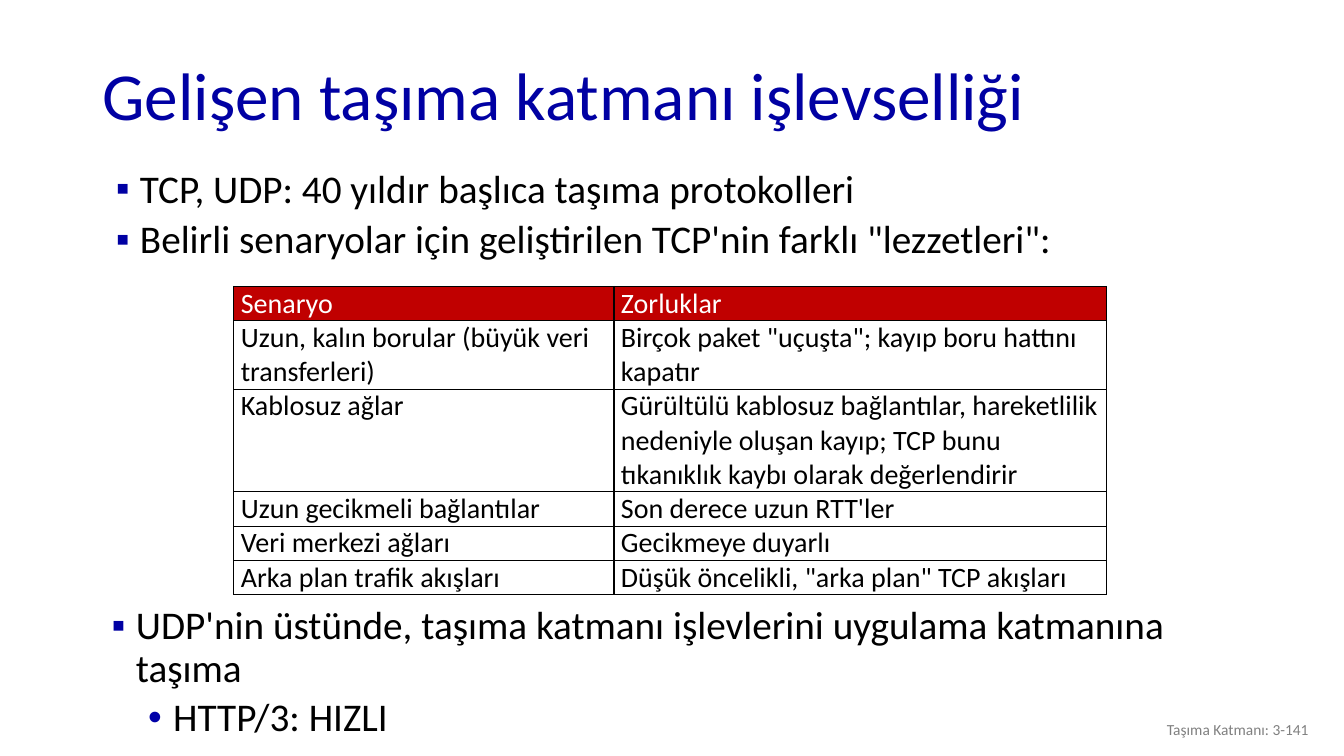
import dataclasses

import lxml.etree
import pptx
import pptx.dml.color
import pptx.enum.text
import pptx.oxml.ns
import pptx.util

ALIGN = pptx.enum.text.PP_ALIGN
ANCHOR = pptx.enum.text.MSO_ANCHOR


@dataclasses.dataclass
class Theme:
    font: str = "Calibri"
    blue: str = "0000A3"
    dot: str = "0000A8"
    ink: str = "000000"
    paper: str = "FFFFFF"
    red: str = "C00000"
    gray: str = "808080"
    title: int = 48
    body: int = 28
    cell: int = 20
    foot: int = 11


def color(code):
    return pptx.dml.color.RGBColor.from_string(code)


def child(node, tag, **attrs):
    return lxml.etree.SubElement(node, pptx.oxml.ns.qn(tag), attrs)


class Deck:
    """Places elements by percent of the slide's width and height."""

    def __init__(self, theme):
        self.theme = theme
        self.show = pptx.Presentation()
        self.show.slide_width = pptx.util.Inches(13.33)
        self.show.slide_height = pptx.util.Inches(7.5)
        self.slide = self.show.slides.add_slide(self.show.slide_layouts[6])

    def wide(self, share):
        return round(self.show.slide_width * share / 100)

    def high(self, share):
        return round(self.show.slide_height * share / 100)

    def area(self, x, y, w, h):
        return self.wide(x), self.high(y), self.wide(w), self.high(h)

    def run(self, para, text, size, ink):
        run = para.add_run()
        run.text = text
        run.font.name = self.theme.font
        run.font.size = pptx.util.Pt(size)
        run.font.color.rgb = color(ink)

    def box(self, place, anchor=ANCHOR.TOP):
        frame = self.slide.shapes.add_textbox(*self.area(*place)).text_frame
        frame.word_wrap = True
        frame.vertical_anchor = anchor
        return frame

    def line(self, place, text, size, ink, align=ALIGN.LEFT):
        para = self.box(place, ANCHOR.MIDDLE).paragraphs[0]
        para.alignment = align
        para.line_spacing = 0.9
        self.run(para, text, size, ink)

    def bullet(self, para, level):
        mark, ink, left, hang = (("▪", self.theme.blue, 0.39, 0.24),
                                 ("•", self.theme.dot, 0.76, 0.25))[level]
        para.level = level
        props = para._p.get_or_add_pPr()
        props.set("marL", str(pptx.util.Inches(left)))
        props.set("indent", str(-pptx.util.Inches(hang)))
        child(child(props, "a:buClr"), "a:srgbClr", val=ink)
        child(props, "a:buFont", typeface="Arial")
        child(props, "a:buChar", char=mark)

    def bullets(self, place, items):
        frame = self.box(place)
        for index, (level, text, gap) in enumerate(items):
            para = frame.add_paragraph() if index else frame.paragraphs[0]
            self.bullet(para, level)
            para.line_spacing = 0.9
            if index:
                para.space_before = pptx.util.Pt(gap)
            self.run(para, text, self.theme.body, self.theme.ink)

    def border(self, cell):
        props = cell._tc.get_or_add_tcPr()
        for index, side in enumerate(("a:lnL", "a:lnR", "a:lnT", "a:lnB")):
            edge = child(props, side, w=str(pptx.util.Pt(1)))
            child(child(edge, "a:solidFill"), "a:srgbClr", val=self.theme.ink)
            props.insert(index, edge)

    def cell(self, cell, text, head):
        cell.margin_left = cell.margin_right = pptx.util.Inches(0.07)
        cell.margin_top = cell.margin_bottom = 0
        if head:
            cell.fill.solid()
            cell.fill.fore_color.rgb = color(self.theme.red)
        else:
            cell.fill.background()
        self.border(cell)
        ink = self.theme.paper if head else self.theme.ink
        self.run(cell.text_frame.paragraphs[0], text, self.theme.cell, ink)

    def table(self, x, y, cols, step, rows):
        """Each row holds its count of text lines, then its cell texts."""
        total = step * sum(row[0] for row in rows)
        place = self.area(x, y, sum(cols), total)
        grid = self.slide.shapes.add_table(len(rows), len(cols), *place).table
        for col, share in zip(grid.columns, cols):
            col.width = self.wide(share)
        for r, (lines, *texts) in enumerate(rows):
            grid.rows[r].height = self.high(step * lines)
            for c, text in enumerate(texts):
                self.cell(grid.cell(r, c), text, r == 0)


def main():
    theme = Theme()
    deck = Deck(theme)

    # Title
    deck.line((6.9, 6.53, 86.27, 13.07), "Gelişen taşıma katmanı işlevselliği",
              theme.title, theme.blue)

    # Opening points
    deck.bullets((6.75, 21.73, 86.27, 14.4), [
        (0, "TCP, UDP: 40 yıldır başlıca taşıma protokolleri", 6),
        (0, "Belirli senaryolar için geliştirilen TCP'nin farklı \"lezzetleri\":", 6),
    ])

    # Scenarios and challenges
    deck.table(17.4, 37.9, (28.28, 36.68), 4.53, [
        (1, "Senaryo", "Zorluklar"),
        (2, "Uzun, kalın borular (büyük veri transferleri)",
         "Birçok paket \"uçuşta\"; kayıp boru hattını kapatır"),
        (3, "Kablosuz ağlar",
         "Gürültülü kablosuz bağlantılar, hareketlilik nedeniyle oluşan kayıp; "
         "TCP bunu tıkanıklık kaybı olarak değerlendirir"),
        (1, "Uzun gecikmeli bağlantılar", "Son derece uzun RTT'ler"),
        (1, "Veri merkezi ağları", "Gecikmeye duyarlı"),
        (1, "Arka plan trafik akışları", "Düşük öncelikli, \"arka plan\" TCP akışları"),
    ])

    # Closing points
    deck.bullets((6.45, 79.5, 86.27, 18.67), [
        (0, "UDP'nin üstünde, taşıma katmanı işlevlerini uygulama katmanına taşıma", 10),
        (1, "HTTP/3: HIZLI", 5),
    ])

    # Footer
    deck.line((75.62, 94, 22.5, 5.33), "Taşıma Katmanı: 3-141",
              theme.foot, theme.gray, ALIGN.RIGHT)

    deck.show.save("out.pptx")


if __name__ == "__main__":
    main()
